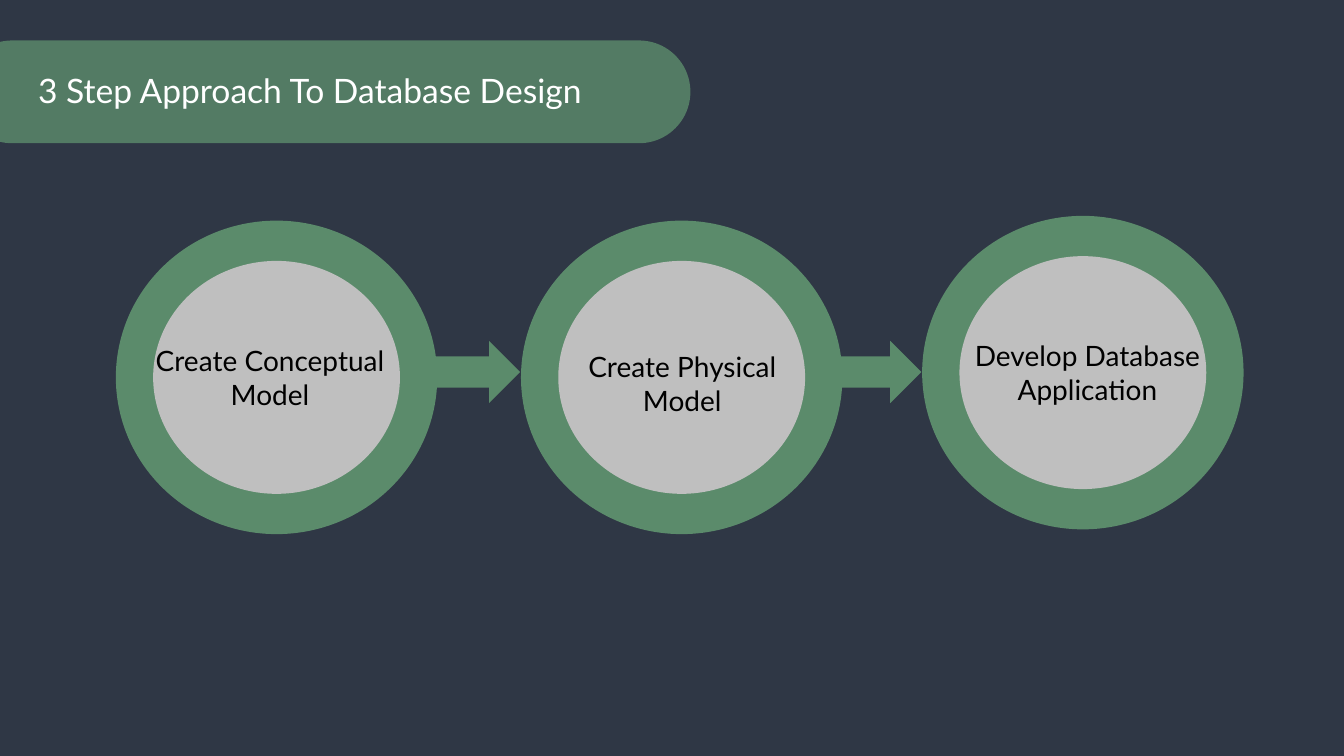
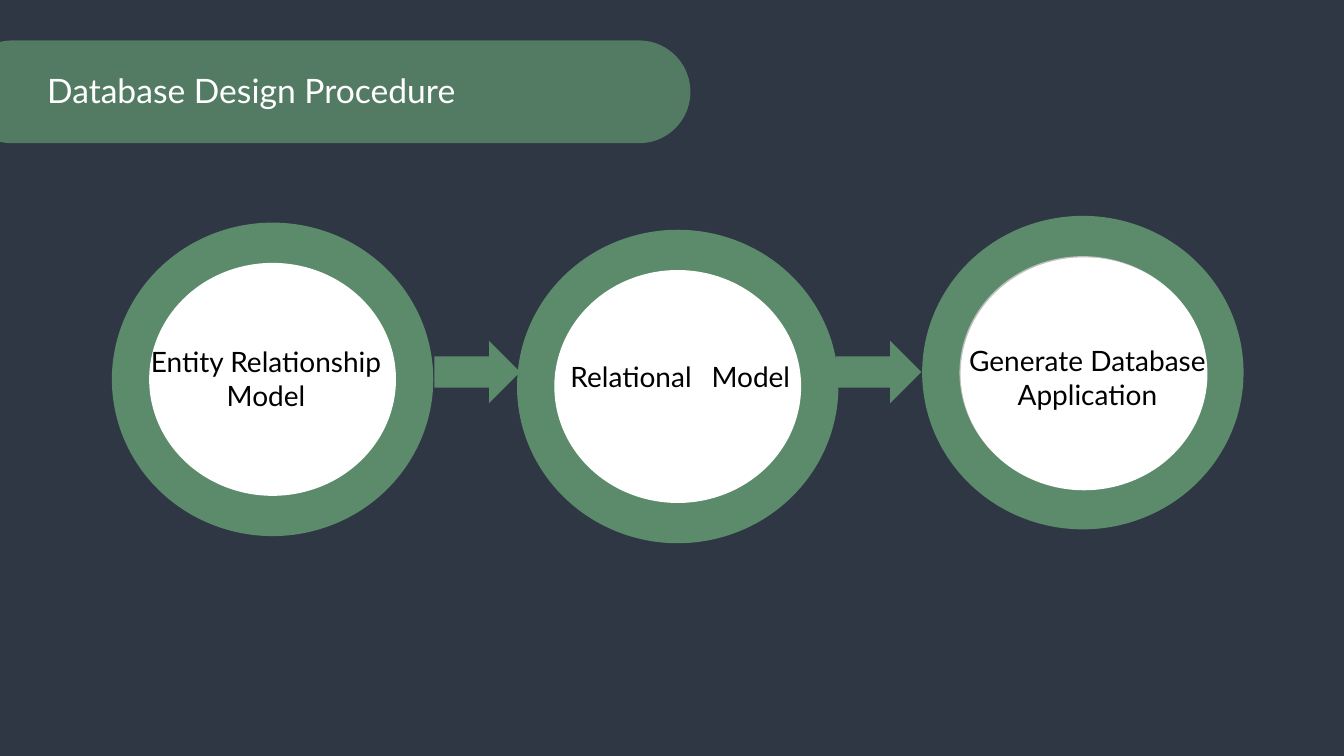
from dataclasses import dataclass

from lxml.etree import SubElement
from pptx import Presentation
from pptx.dml.color import RGBColor
from pptx.enum.shapes import MSO_SHAPE
from pptx.enum.text import MSO_AUTO_SIZE, PP_ALIGN
from pptx.oxml.ns import qn
from pptx.shapes.autoshape import Shape
from pptx.shapes.shapetree import GroupShapes, SlideShapes
from pptx.slide import Slide
from pptx.text.text import _Paragraph as Paragraph
from pptx.util import Cm, Pt


@dataclass(frozen=True)
class Theme:
    background: RGBColor = RGBColor(0x2F, 0x37, 0x45)
    green: RGBColor = RGBColor(0x5B, 0x8B, 0x6B)
    grey: RGBColor = RGBColor(0xBF, 0xBF, 0xBF)
    white: RGBColor = RGBColor(0xFF, 0xFF, 0xFF)
    black: RGBColor = RGBColor(0x00, 0x00, 0x00)
    font: str = "Lato"
    title_size: int = 24
    label_size: int = 20
    band_opacity: int = 82


@dataclass(frozen=True)
class Box:
    """Place and size in centimetres."""
    left: float
    top: float
    width: float
    height: float

    def lengths(self) -> tuple[Cm, Cm, Cm, Cm]:
        return Cm(self.left), Cm(self.top), Cm(self.width), Cm(self.height)


@dataclass(frozen=True)
class Step:
    text: str
    left: float
    top: float
    label_left: float
    label_top: float
    label_lines: int = 2
    word_gap: int = 0  # extra points after the first word
    grey_edge: bool = False


@dataclass(frozen=True)
class Process:
    title: str
    title_inset: float
    disc_color: RGBColor
    steps: tuple[Step, ...]


THEME = Theme()
SLIDE_WIDTH, SLIDE_HEIGHT = 33.87, 19.05
RING_WIDTH, RING_HEIGHT = 8.1, 7.9
DISC_WIDTH, DISC_HEIGHT = 6.22, 5.87
LABEL_WIDTH, LINE_HEIGHT, LABEL_PADDING = 6.91, 0.85, 0.26
EDGE_SHIFT = 0.03
ARROWS = tuple(Box(left, 8.59, 2.16, 1.57) for left in (10.95, 21.06))
BAND = Box(-0.99, 1.02, 18.39, 2.59)
TITLE = Box(0.71, 1.63, 14.68, 1.27)

PROCESSES = (
    Process("3 Step Approach To Database Design", 0.25, THEME.grey, (
        Step("Create Conceptual Model", 2.92, 5.56, 3.35, 8.53),
        Step("Create Physical Model", 13.13, 5.56, 13.74, 8.69),
        Step("Develop Database Application", 23.24, 5.44, 23.95, 8.41),
    )),
    Process("Database Design Procedure", 0.48, THEME.white, (
        Step("Entity Relationship Model", 2.82, 5.61, 3.25, 8.56),
        Step("Relational Model", 13.03, 5.79, 13.69, 8.94,
             label_lines=1, word_gap=9),
        Step("Generate Database Application", 23.24, 5.44, 23.95, 8.53,
             grey_edge=True),
    )),
)


# Basic parts
def add_filled(shapes: SlideShapes | GroupShapes, kind: MSO_SHAPE, box: Box,
               color: RGBColor) -> Shape:
    shape = shapes.add_shape(kind, *box.lengths())
    shape.shadow.inherit = False
    shape.fill.solid()
    shape.fill.fore_color.rgb = color
    shape.line.fill.background()
    return shape


def add_text(shapes: GroupShapes, text: str, box: Box, size: int,
             color: RGBColor) -> Shape:
    shape = shapes.add_textbox(*box.lengths())
    frame = shape.text_frame
    frame.word_wrap = True
    frame.auto_size = MSO_AUTO_SIZE.SHAPE_TO_FIT_TEXT
    paragraph = frame.paragraphs[0]
    paragraph.text = text
    paragraph.font.name = THEME.font
    paragraph.font.size = Pt(size)
    paragraph.font.color.rgb = color
    return shape


def widen_first_gap(paragraph: Paragraph, points: int) -> None:
    parts = paragraph.text.partition(" ")
    paragraph.clear()
    for part in parts:
        run = paragraph.add_run()
        run.text = part
        if part == " ":
            run.font._element.set("spc", str(points * 100))


# Parts of a slide
def add_title(slide: Slide, process: Process) -> None:
    shapes = slide.shapes.add_group_shape().shapes
    band = add_filled(shapes, MSO_SHAPE.ROUNDED_RECTANGLE, BAND, THEME.green)
    band.adjustments[0] = 0.5
    color = band.fill._xPr.find(qn("a:solidFill"))[0]
    SubElement(color, qn("a:alpha"), val=str(THEME.band_opacity * 1000))
    title = add_text(shapes, process.title, TITLE, THEME.title_size, THEME.white)
    title.text_frame.margin_left = Cm(process.title_inset)


def add_step(slide: Slide, step: Step, disc_color: RGBColor) -> None:
    shapes = slide.shapes.add_group_shape().shapes
    ring = Box(step.left, step.top, RING_WIDTH, RING_HEIGHT)
    add_filled(shapes, MSO_SHAPE.OVAL, ring, THEME.green)

    discs = [(disc_color, 0.0)]
    if step.grey_edge:
        discs = [(THEME.grey, 0.0), (disc_color, EDGE_SHIFT)]
    for color, shift in discs:
        disc = Box(step.left + (RING_WIDTH - DISC_WIDTH) / 2 + shift,
                   step.top + (RING_HEIGHT - DISC_HEIGHT) / 2 + shift,
                   DISC_WIDTH, DISC_HEIGHT)
        add_filled(shapes, MSO_SHAPE.OVAL, disc, color)

    label_height = step.label_lines * LINE_HEIGHT + LABEL_PADDING
    label_box = Box(step.label_left, step.label_top, LABEL_WIDTH, label_height)
    label = add_text(shapes, step.text, label_box, THEME.label_size, THEME.black)
    paragraph = label.text_frame.paragraphs[0]
    paragraph.alignment = PP_ALIGN.CENTER
    if step.word_gap:
        widen_first_gap(paragraph, step.word_gap)


def add_process(slide: Slide, process: Process) -> None:
    slide.background.fill.solid()
    slide.background.fill.fore_color.rgb = THEME.background
    for arrow in ARROWS:
        add_filled(slide.shapes, MSO_SHAPE.RIGHT_ARROW, arrow, THEME.green)
    for step in process.steps:
        add_step(slide, step, process.disc_color)
    add_title(slide, process)


def main() -> None:
    presentation = Presentation()
    presentation.slide_width = Cm(SLIDE_WIDTH)
    presentation.slide_height = Cm(SLIDE_HEIGHT)
    blank_layout = presentation.slide_layouts[6]
    for process in PROCESSES:
        add_process(presentation.slides.add_slide(blank_layout), process)
    presentation.save("out.pptx")


if __name__ == "__main__":
    main()
